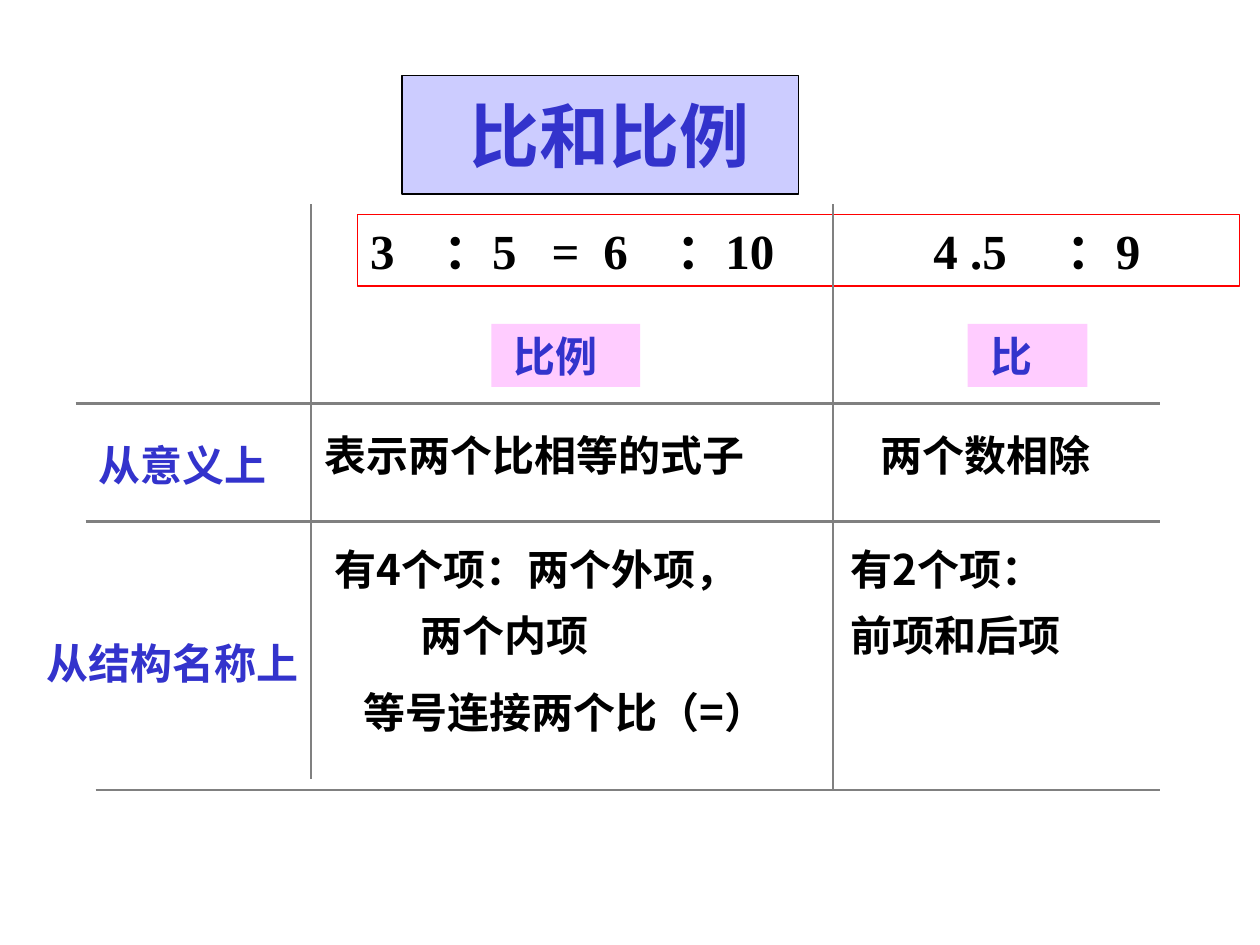
from dataclasses import dataclass

from lxml.etree import SubElement
from pptx import Presentation
from pptx.dml.color import RGBColor
from pptx.enum.shapes import MSO_CONNECTOR, MSO_SHAPE
from pptx.enum.text import MSO_ANCHOR, PP_ALIGN
from pptx.oxml.ns import qn
from pptx.util import Inches, Pt


@dataclass(frozen=True)
class Theme:
    ink: str = "000000"
    accent: str = "3333CC"
    rule: str = "808080"
    frame: str = "FF0000"
    heading_fill: str = "FFCCFF"
    title_fill: str = "CCCCFF"
    sans: str = "Noto Sans CJK SC"
    serif: str = "Times New Roman"
    body_size: int = 24
    equation_size: int = 28
    title_size: int = 40
    paragraph_gap: float = 8.7
    thin: float = 0.75
    thick: float = 1.5


THEME = Theme()
WIDTH, HEIGHT = Inches(10), Inches(7.5)
LINE_SHARE = 6.67

EQUATION = ["3", "：5", "=", "6", "：10", "4 .5", "：9"]
EQUATION_STOPS = [0.58, 1.44, 1.85, 2.43, 4.47, 5.53]
EQUATION_AREA = (28.4, 22.67, 70, 7.6)

HEADINGS = [
    ("比例", (39, 34.27, 11.8, LINE_SHARE)),
    ("比", (76.8, 34.27, 9.5, LINE_SHARE)),
]
ROW_LABELS = [
    ("从意义上", (6.8, 45.87, 19.5, LINE_SHARE)),
    ("从结构名称上", (2.7, 66.8, 28, LINE_SHARE)),
]
ANSWERS = [
    (["表示两个比相等的式子"], (24.8, 44.8, 42.5, LINE_SHARE), [0]),
    (["两个数相除"], (68.9, 44.8, 29.9, LINE_SHARE), [0]),
    (["有4个项：两个外项，", "两个内项"], (25.6, 56.27, 44.9, 14.8), [0, 0.68]),
    (["有2个项：", "前项和后项"], (66.5, 56.27, 29.9, 14.8), [0, 0]),
    (["等号连接两个比（=）"], (27.9, 72, 39.4, LINE_SHARE), [0]),
]
TITLE = "比和比例"
TITLE_PANEL = (31.9, 8, 31.5, 12.53)
TITLE_AREA = (16.1, 9.07, 64.6, 10.27)

RIGHT_EDGE, TOP_EDGE = 92.1, 21.6
ROW_RULES = [(6, 42.67), (6.8, 55.2), (7.6, 83.6)]
COLUMN_RULES = [(66.1, 83.6), (24.7, 82.4)]


def across(share):
    return round(WIDTH * share / 100)


def down(share):
    return round(HEIGHT * share / 100)


def place(area):
    left, top, width, height = area
    return across(left), down(top), across(width), down(height)


def add_panel(slide, area, fill=None, line=None):
    panel = slide.shapes.add_shape(MSO_SHAPE.RECTANGLE, *place(area))
    panel.shadow.inherit = False
    if fill:
        panel.fill.solid()
        panel.fill.fore_color.rgb = RGBColor.from_string(fill)
    else:
        panel.fill.background()
    if line:
        panel.line.color.rgb = RGBColor.from_string(line)
        panel.line.width = Pt(THEME.thin)
    else:
        panel.line.fill.background()
    return panel


def write(holder, lines, size=THEME.body_size, color=THEME.ink, face=THEME.sans,
          align=PP_ALIGN.LEFT, indents=(0,), stops=(), wrap=True):
    frame = holder.text_frame
    frame.word_wrap = wrap
    frame.vertical_anchor = MSO_ANCHOR.MIDDLE
    frame.margin_top = frame.margin_bottom = 0
    for index, (line, indent) in enumerate(zip(lines, indents)):
        paragraph = frame.paragraphs[0] if index == 0 else frame.add_paragraph()
        paragraph.alignment = align
        if index:
            paragraph.space_before = Pt(THEME.paragraph_gap)
        properties = paragraph._p.get_or_add_pPr()
        if indent:
            properties.set("marL", str(Inches(indent)))
            properties.set("indent", "0")
        if stops:
            tabs = SubElement(properties, qn("a:tabLst"))
            for stop in stops:
                SubElement(tabs, qn("a:tab"), pos=str(Inches(stop)), algn="l")
        run = paragraph.add_run()
        run.text = line
        run.font.size = Pt(size)
        run.font.bold = True
        run.font.color.rgb = RGBColor.from_string(color)
        run.font.name = face
        SubElement(run._r.get_or_add_rPr(), qn("a:ea"), typeface=THEME.sans)


def add_text(slide, area, lines, **style):
    write(slide.shapes.add_textbox(*place(area)), lines, **style)


def add_rule(slide, start, end):
    rule = slide.shapes.add_connector(
        MSO_CONNECTOR.STRAIGHT,
        across(start[0]), down(start[1]), across(end[0]), down(end[1]))
    rule.line.color.rgb = RGBColor.from_string(THEME.rule)
    rule.line.width = Pt(THEME.thick)
    SubElement(rule._element.spPr, qn("a:effectLst"))


def main():
    deck = Presentation()
    deck.slide_width, deck.slide_height = WIDTH, HEIGHT
    slide = deck.slides.add_slide(deck.slide_layouts[6])

    equation = add_panel(slide, EQUATION_AREA, line=THEME.frame)
    write(equation, ["\t".join(EQUATION)], size=THEME.equation_size,
          face=THEME.serif, stops=EQUATION_STOPS)

    for heading, area in HEADINGS:
        panel = add_panel(slide, area, fill=THEME.heading_fill)
        write(panel, [heading], color=THEME.accent, indents=[0.08], wrap=False)

    for left, height in ROW_RULES:
        add_rule(slide, (left, height), (RIGHT_EDGE, height))
    for left, bottom in COLUMN_RULES:
        add_rule(slide, (left, TOP_EDGE), (left, bottom))

    for label, area in ROW_LABELS:
        add_text(slide, area, [label], color=THEME.accent)
    for lines, area, indents in ANSWERS:
        add_text(slide, area, lines, indents=indents)

    add_panel(slide, TITLE_PANEL, fill=THEME.title_fill, line=THEME.ink)
    add_text(slide, TITLE_AREA, [TITLE], size=THEME.title_size,
             color=THEME.accent, face=THEME.serif, align=PP_ALIGN.CENTER)

    deck.save("out.pptx")


if __name__ == "__main__":
    main()
